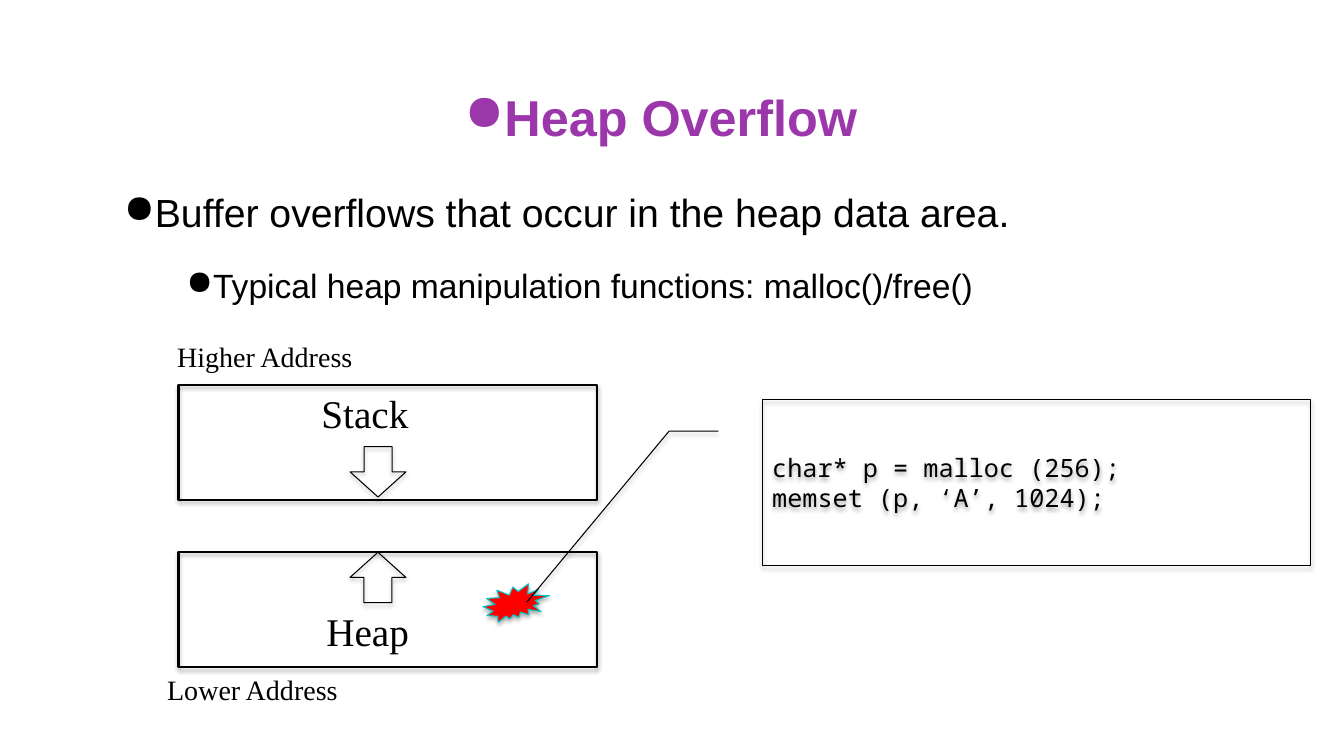
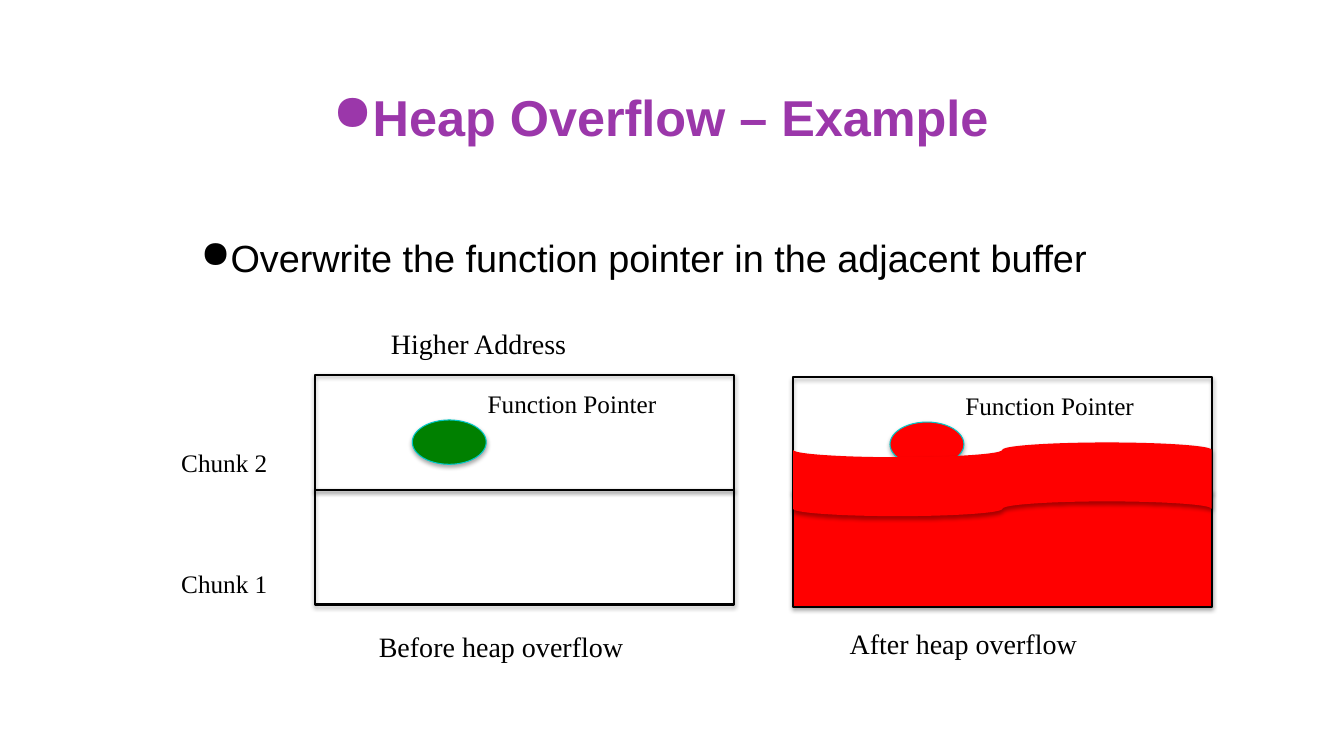
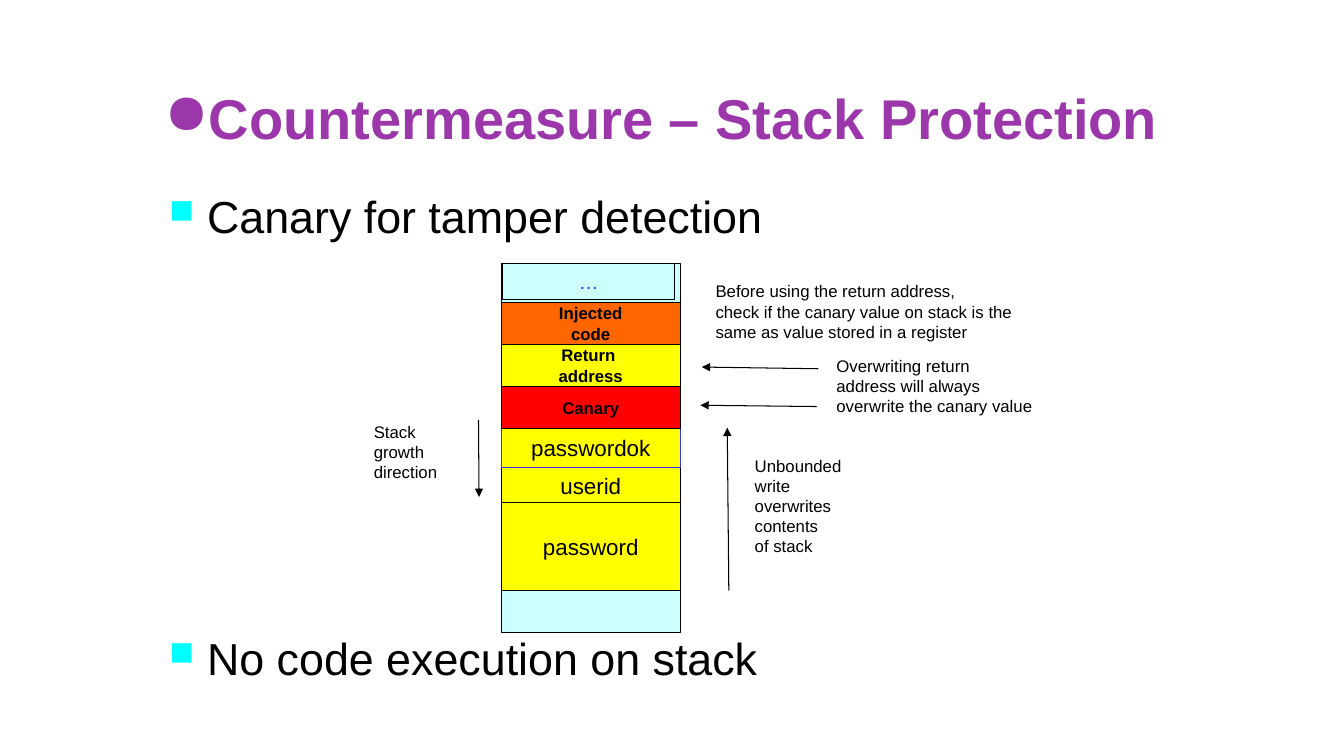
from dataclasses import dataclass
from typing import Any, NamedTuple, Optional

from lxml import etree
from pptx import Presentation
from pptx.dml.color import RGBColor
from pptx.enum.shapes import MSO_CONNECTOR, MSO_SHAPE
from pptx.enum.text import MSO_ANCHOR, PP_ALIGN
from pptx.oxml.ns import qn
from pptx.util import Pt

RECT = MSO_SHAPE.RECTANGLE
OVAL = MSO_SHAPE.OVAL
UP_ARROW = MSO_SHAPE.UP_ARROW
BURST = MSO_SHAPE.EXPLOSION2
CALLOUT = MSO_SHAPE.LINE_CALLOUT_2
WAVE = MSO_SHAPE.WAVE
PUNCHED_TAPE = MSO_SHAPE.FLOWCHART_PUNCHED_TAPE
STRAIGHT = MSO_CONNECTOR.STRAIGHT
LEFT, CENTER = PP_ALIGN.LEFT, PP_ALIGN.CENTER
TOP, MIDDLE = MSO_ANCHOR.TOP, MSO_ANCHOR.MIDDLE

BLACK = RGBColor(0x00, 0x00, 0x00)
PURPLE = RGBColor(0x9B, 0x37, 0xAA)
RED = RGBColor(0xFF, 0x00, 0x00)
GREEN = RGBColor(0x00, 0x80, 0x00)
TEAL = RGBColor(0x00, 0xC8, 0xC8)
CYAN = RGBColor(0x00, 0xFF, 0xFF)
PALE_CYAN = RGBColor(0xCC, 0xFF, 0xFF)
ORANGE = RGBColor(0xFF, 0x66, 0x00)
YELLOW = RGBColor(0xFF, 0xFF, 0x00)
BLUE = RGBColor(0x33, 0x33, 0xFF)

SANS, SERIF, MONO = "Arial", "Times New Roman", "Noto Sans Mono"
HEAVY, THIN = 1.5, 0.75
CHUNK_W, CHUNK_H = 299, 82
WIDE_INSET = {"margin_left": Pt(9.36), "margin_right": Pt(9.36),
              "margin_top": Pt(9.36), "margin_bottom": Pt(9.36)}


class Box(NamedTuple):
    left: float
    top: float
    width: float
    height: float


class Arrow(NamedTuple):
    x1: float
    y1: float
    x2: float
    y2: float


@dataclass(frozen=True)
class Style:
    size: float
    font: str = SANS
    color: RGBColor = BLACK
    bold: bool = False


@dataclass(frozen=True)
class Bullet:
    text: str
    style: Style
    margin: float = 0
    indent: float = 0
    before: float = 0
    line_spacing: float = 1.5
    mark: str = "●"
    mark_color: RGBColor = BLACK
    mark_percent: int = 100
    align: Any = LEFT


@dataclass(frozen=True)
class Label:
    text: str
    box: Box
    style: Style
    wrap: bool = False


@dataclass(frozen=True)
class Figure:
    kind: Any
    box: Box
    fill: Optional[RGBColor] = None
    line: Optional[RGBColor] = BLACK
    weight: float = THIN
    shadow: bool = True
    rotation: float = 0
    adjustments: tuple[float, ...] = ()


class StackCell(NamedTuple):
    text: str
    height: float
    fill: RGBColor
    style: Style
    line: RGBColor = BLACK


def apply(target: Any, values: dict[str, Any]) -> None:
    for name, value in values.items():
        setattr(target, name, value)


def add_xml(parent: Any, tag: str, **attributes: str) -> Any:
    return etree.SubElement(parent, qn(tag), attributes)


def write_run(paragraph: Any, text: str, style: Style) -> None:
    run = paragraph.add_run()
    run.text = text
    apply(run.font, {"size": Pt(style.size), "name": style.font, "bold": style.bold})
    run.font.color.rgb = style.color


def write_lines(frame: Any, text: str, style: Style, align: Any = LEFT) -> None:
    for number, line in enumerate(text.split("\n")):
        paragraph = frame.add_paragraph() if number else frame.paragraphs[0]
        paragraph.alignment = align
        write_run(paragraph, line, style)


def add_frame(slide: Any, box: Box, values: dict[str, Any]) -> Any:
    frame = slide.shapes.add_textbox(*map(Pt, box)).text_frame
    apply(frame, values)
    return frame


def add_label(slide: Any, label: Label) -> None:
    frame = add_frame(slide, label.box, {"word_wrap": label.wrap})
    write_lines(frame, label.text, label.style)


def add_bullets(slide: Any, box: Box, bullets: list[Bullet], values: dict[str, Any]) -> None:
    frame = add_frame(slide, box, {"word_wrap": True, **values})
    for number, bullet in enumerate(bullets):
        paragraph = frame.add_paragraph() if number else frame.paragraphs[0]
        apply(paragraph, {"alignment": bullet.align, "line_spacing": bullet.line_spacing,
                          "space_before": Pt(bullet.before)})
        write_run(paragraph, bullet.text, bullet.style)
        properties = paragraph._p.get_or_add_pPr()
        properties.set("marL", str(Pt(bullet.margin)))
        properties.set("indent", str(Pt(bullet.indent)))
        add_xml(add_xml(properties, "a:buClr"), "a:srgbClr", val=str(bullet.mark_color))
        add_xml(properties, "a:buSzPct", val=str(bullet.mark_percent * 1000))
        add_xml(properties, "a:buChar", char=bullet.mark)


def add_title(slide: Any, text: str, size: float = 36) -> None:
    title = Bullet(text, Style(size, color=PURPLE, bold=True), mark_color=PURPLE, align=CENTER)
    add_bullets(slide, Box(64, 18, 816, 108), [title], {"vertical_anchor": MIDDLE, **WIDE_INSET})


def add_figure(slide: Any, figure: Figure) -> Any:
    shape = slide.shapes.add_shape(figure.kind, *map(Pt, figure.box))
    shape.shadow.inherit = False
    shape.rotation = figure.rotation
    for index, value in enumerate(figure.adjustments):
        shape.adjustments[index] = value
    if figure.fill is None:
        shape.fill.background()
    else:
        shape.fill.solid()
        shape.fill.fore_color.rgb = figure.fill
    if figure.line is None:
        shape.line.fill.background()
    else:
        shape.line.color.rgb = figure.line
        shape.line.width = Pt(figure.weight)
    if figure.shadow:
        effects = shape._element.spPr.find(qn("a:effectLst"))
        outer = add_xml(effects, "a:outerShdw", blurRad=str(Pt(3.15)), dist=str(Pt(1.8)),
                        dir="5400000", rotWithShape="0")
        add_xml(add_xml(outer, "a:srgbClr", val=str(BLACK)), "a:alpha", val="35000")
    return shape


def add_arrow(slide: Any, arrow: Arrow) -> None:
    connector = slide.shapes.add_connector(STRAIGHT, *map(Pt, arrow))
    connector.line.color.rgb = BLACK
    connector.line.width = Pt(THIN)
    add_xml(connector.line._get_or_add_ln(), "a:tailEnd", type="triangle")
    add_xml(connector._element.spPr, "a:effectLst")


def chunk(left: float, top: float, fill: Optional[RGBColor] = None) -> Figure:
    return Figure(RECT, Box(left, top, CHUNK_W, CHUNK_H), fill, weight=HEAVY)


def build_heap_overflow(slide: Any) -> None:
    add_title(slide, "Heap Overflow")
    add_bullets(slide, Box(64, 108, 816, 386), [
        Bullet("Buffer overflows that occur in the heap data area.", Style(28), 35.3, -20.2, 8),
        Bullet("Typical heap manipulation functions: malloc()/free()", Style(24), 74.9, -15.1, 7),
    ], WIDE_INSET)
    address, area = Style(20, SERIF), Style(28, SERIF)
    for figure in (
        chunk(127.5, 394.5),
        Figure(UP_ARROW, Box(250, 394.5, 40, 36)),
        chunk(127.5, 275),
        Figure(UP_ARROW, Box(250, 319, 40, 36), rotation=180),
        Figure(BURST, Box(345, 417, 47.5, 27.5), RED, TEAL),
    ):
        add_figure(slide, figure)
    for label in (
        Label("Lower Address", Box(112.3, 476.6, 138.2, 31.7), address),
        Label("Higher Address", Box(119.5, 239, 141.8, 31.7), address),
        Label("Heap", Box(226, 430.6, 109.4, 41), area, True),
        Label("Stack", Box(222.5, 274.3, 108.7, 41), area, True),
    ):
        add_label(slide, label)
    code = add_figure(slide, Figure(CALLOUT, Box(544.5, 285.3, 391.5, 118.8),
                                    adjustments=(0.19, -0.08, 0.19, -0.17, 1.22, -0.43)))
    apply(code.text_frame, {"word_wrap": True, "vertical_anchor": MIDDLE})
    write_lines(code.text_frame, "char* p = malloc (256);\nmemset (p, ‘A’, 1024);", Style(18, MONO))


def build_example(slide: Any) -> None:
    add_title(slide, "Heap Overflow – Example")
    add_bullets(slide, Box(118.8, 141.8, 816, 324), [
        Bullet("Overwrite the function pointer in the adjacent buffer", Style(27), 35.3, -20.2, 8),
    ], WIDE_INSET)
    caption, note = Style(20, SERIF), Style(18, SERIF)
    for left, top, overflow, pointer in ((225.3, 267.8, None, GREEN), (566.5, 269.3, RED, RED)):
        add_figure(slide, chunk(left, top + CHUNK_H, overflow))
        add_figure(slide, chunk(left, top))
        add_figure(slide, Figure(OVAL, Box(left + 69.2, top + 32.2, 52.8, 31.7), pointer, TEAL))
        add_label(slide, Label("Function Pointer", Box(left + 116, top + 5.7, 136.8, 28.8), note))
    add_figure(slide, Figure(PUNCHED_TAPE, Box(566.5, 316.1, CHUNK_W, 52.6), RED, None))
    for label in (
        Label("Higher Address", Box(272.2, 229.7, 141.8, 31.7), caption),
        Label("Chunk 2", Box(122.4, 316.1, 76.3, 28.8), note),
        Label("Chunk 1", Box(122.4, 402.5, 76.3, 28.8), note),
        Label("Before heap overflow", Box(263.5, 446.4, 191.5, 31.7), caption),
        Label("After heap overflow", Box(599.8, 443.9, 179.3, 31.7), caption),
    ):
        add_label(slide, label)


def add_stack_cell(slide: Any, cell: StackCell, left: float, top: float, width: float) -> None:
    shape = add_figure(slide, Figure(RECT, Box(left, top, width, cell.height), cell.fill,
                                     cell.line, shadow=False))
    apply(shape.text_frame, {"word_wrap": False, "vertical_anchor": MIDDLE})
    write_lines(shape.text_frame, cell.text, cell.style, CENTER)


def build_stack_protection(slide: Any) -> None:
    add_title(slide, "Countermeasure – Stack Protection", 40)
    left, width = 358, 128
    add_figure(slide, Figure(RECT, Box(left, 188, width, 264), PALE_CYAN, shadow=False))
    strong, variable, note = Style(12, bold=True), Style(16), Style(12)
    bottom = 422.0
    for cell in (
        StackCell("password", 63, YELLOW, variable),
        StackCell("userid", 25, YELLOW, variable),
        StackCell("passwordok", 28, YELLOW, variable, BLUE),
        StackCell("Canary", 30, RED, strong),
        StackCell("Return \naddress", 30, YELLOW, strong),
        StackCell("Injected\ncode", 30, ORANGE, strong),
    ):
        bottom -= cell.height
        add_stack_cell(slide, cell, left, bottom, width)
    add_stack_cell(slide, StackCell("…", 26, PALE_CYAN, Style(14, color=BLUE)), 359, 188, 123)
    for label in (
        Label("Stack\ngrowth\ndirection", Box(259.9, 297.4, 60.5, 51.1), note),
        Label("Overwriting return\naddress will always\noverwrite the canary value",
              Box(590.4, 250.6, 156.2, 51.1), note),
        Label("Before using the return address,\ncheck if the canary value on stack is the\n"
              "same as value stored in a register", Box(504, 197.3, 229, 51.1), note),
        Label("Unbounded\nwrite\noverwrites\ncontents\nof stack", Box(532, 321.8, 77, 79.9), note),
    ):
        add_label(slide, label)
    for arrow in (
        Arrow(341.8, 300, 342.2, 355),
        Arrow(584.6, 263.4, 501.3, 262.2),
        Arrow(583.4, 290.4, 500.3, 289.5),
        Arrow(520.6, 421.8, 519.5, 305.5),
    ):
        add_arrow(slide, arrow)
    add_bullets(slide, Box(113.8, 131, 801.4, 370), [
        Bullet(text, Style(32), 27, -27, before, 1.0, "■", CYAN, 75)
        for text, before in (("Canary for tamper detection", 3), ("No code execution on stack", 277.5))
    ], {"vertical_anchor": TOP})


def main() -> None:
    deck = Presentation()
    apply(deck, {"slide_width": Pt(960), "slide_height": Pt(540)})
    for build in (build_heap_overflow, build_example, build_stack_protection):
        build(deck.slides.add_slide(deck.slide_layouts[6]))
    deck.save("out.pptx")


if __name__ == "__main__":
    main()
